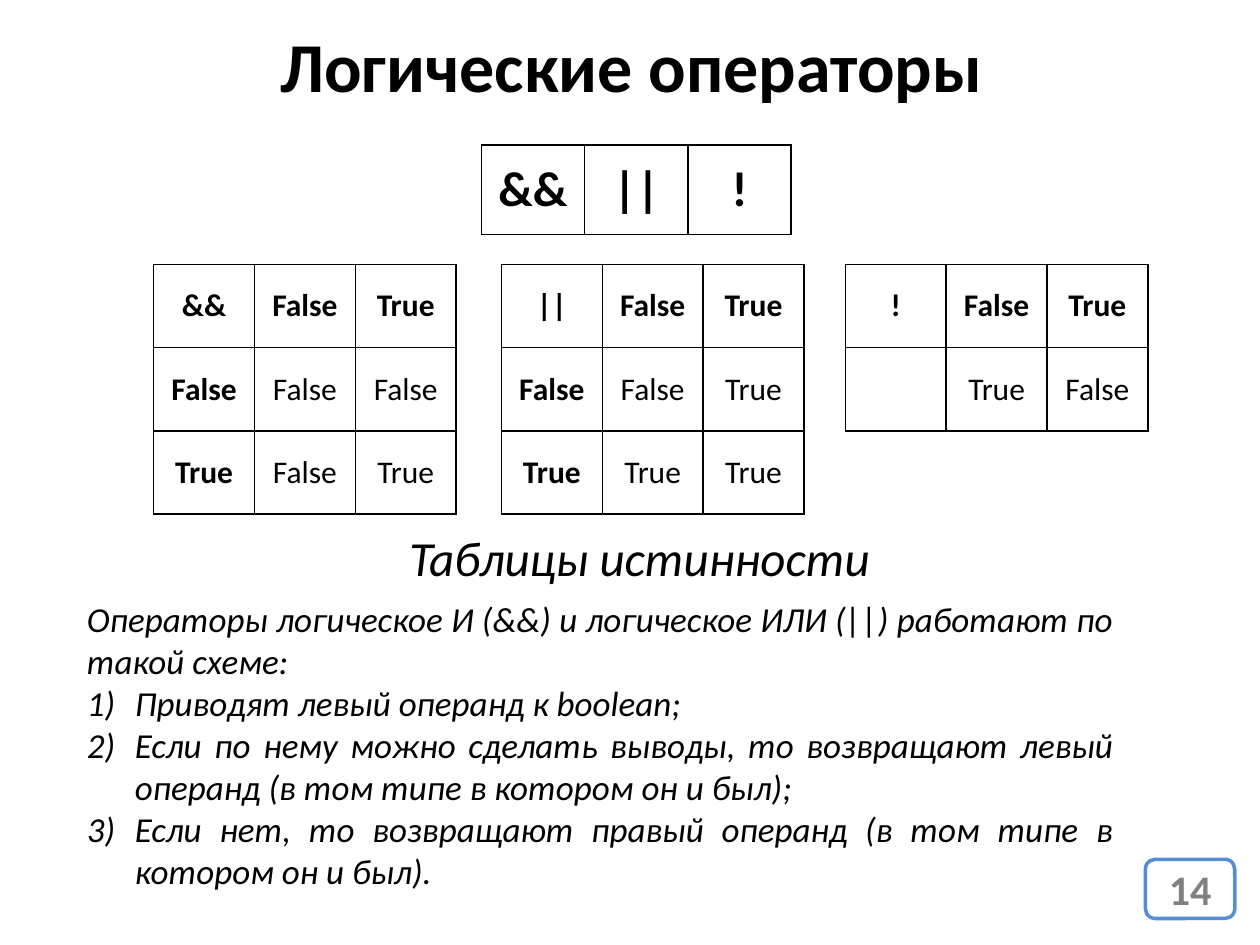
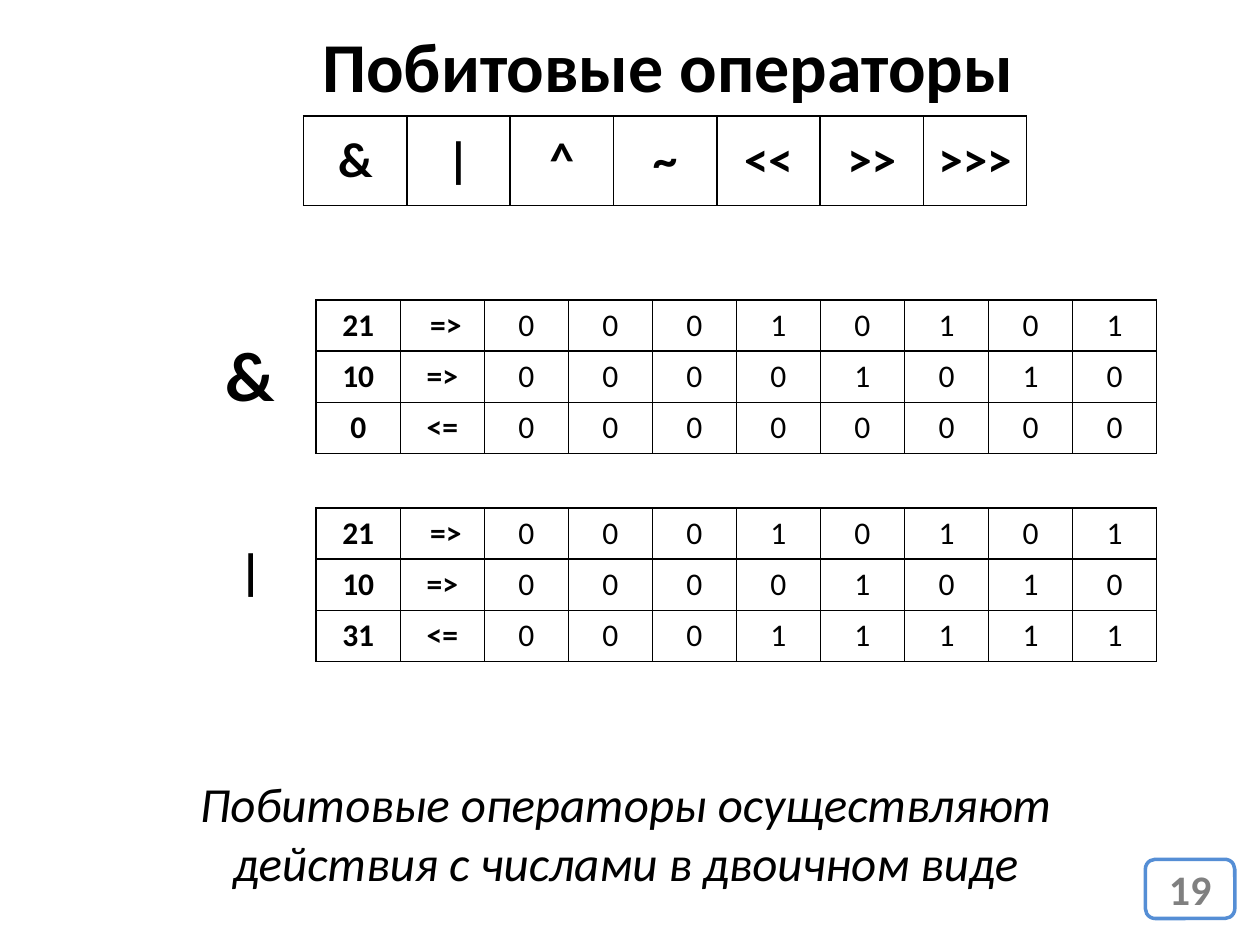
from pptx import Presentation
from pptx.dml.color import RGBColor
from pptx.enum.shapes import MSO_SHAPE as Shape
from pptx.enum.text import MSO_ANCHOR as Anchor, MSO_AUTO_SIZE as Fit, PP_ALIGN as Align
from pptx.oxml.ns import qn
from pptx.util import Inches, Pt
from lxml.etree import SubElement

FONT = "Calibri"
HEX = {"text": "000000", "paper": "FFFFFF", "edge": "558ED5", "page": "808080"}

LOGIC = {
    "title": "Логические операторы",
    "page": 14,
    "signs": ["&&", "||", "!"],
    "caption": "Таблицы истинности",
    "intro": "Операторы логическое И (&&) и логическое ИЛИ (||) работают по такой схеме:",
    "steps": [
        "Приводят левый операнд к boolean;",
        "Если по нему можно сделать выводы, то возвращают левый операнд "
        "(в том типе в котором он и был);",
        "Если нет, то возвращают правый операнд (в том типе в котором он и был).",
    ],
}
# Left edge and rows of each truth table
TRUTH = [
    (1.22, [["&&", "False", "True"],
            ["False", "False", "False"],
            ["True", "False", "True"]]),
    (3.98, [["||", "False", "True"],
            ["False", "False", "True"],
            ["True", "True", "True"]]),
    (6.71, [["!", "False", "True"],
            ["", "True", "False"]]),
]
BITWISE = {
    "title": "Побитовые операторы",
    "page": 19,
    "signs": ["&", "|", "^", "~", "<<", ">>", ">>>"],
    "note": "Побитовые операторы осуществляют действия с числами в двоичном виде",
}
FIRST, SECOND = 21, 10
# Table top, sign, sign size, sign box, result
SUMS = [
    (2.38, "&", 40, (1.69, 2.58, 0.6, 0.77), FIRST & SECOND),
    (4.03, "|", 28, (1.8, 4.24, 0.39, 0.57), FIRST | SECOND),
]


def color(name):
    return RGBColor.from_string(HEX[name])


def write(frame, lines, size, align=Align.CENTER, bold=False, italic=False, ink="text"):
    frame.text = "\n".join(lines)
    for para in frame.paragraphs:
        para.alignment = align
        para.space_before = Pt(0)
        for run in para.runs:
            font = run.font
            font.name, font.size = FONT, Pt(size)
            font.bold, font.italic = bold, italic
            font.color.rgb = color(ink)


def place(shape, box):
    shape.left, shape.top, shape.width, shape.height = map(Inches, box)


def indent(para, bullet, depth=0, **attrs):
    """Set a hanging indent and the bullet element of a paragraph."""
    props = para._p.get_or_add_pPr()
    props.set("marL", str(Inches(depth)))
    props.set("indent", str(-Inches(depth)))
    SubElement(props, qn(bullet), **attrs)


def outline(cell):
    props = cell._tc.get_or_add_tcPr()
    for side in ("a:lnL", "a:lnR", "a:lnT", "a:lnB"):
        line = SubElement(props, qn(side), w=str(Pt(1)))
        fill = SubElement(line, qn("a:solidFill"))
        SubElement(fill, qn("a:srgbClr"), val=HEX["text"])


def grid(slide, rows, left, top, wide, high, size, is_head):
    """Add a table of equal cells; is_head(row, col) tells which are bold."""
    count = len(rows[0])
    frame = slide.shapes.add_table(len(rows), count, Inches(left), Inches(top),
                                   Inches(wide * count), Inches(high * len(rows)))
    table = frame.table
    table.first_row = table.horz_banding = False
    for r, row in enumerate(rows):
        for c, text in enumerate(row):
            cell = table.cell(r, c)
            write(cell.text_frame, [text], size, bold=is_head(r, c))
            cell.vertical_anchor = Anchor.MIDDLE
            outline(cell)
            cell.fill.background()


def label(slide, text, box, size, **style):
    shape = slide.shapes.add_textbox(*map(Inches, box))
    shape.text_frame.word_wrap = False
    write(shape.text_frame, [text], size, Align.LEFT, **style)


def body(slide, lines, box, size, align):
    shape = slide.placeholders[1]
    place(shape, box)
    frame = shape.text_frame
    frame.auto_size, frame.word_wrap = Fit.NONE, True
    frame.vertical_anchor = Anchor.TOP
    write(frame, lines, size, align, italic=True)
    return frame.paragraphs


def start(deck, data, title_left, signs_at):
    """Add a slide with its page badge, title and row of operators."""
    slide = deck.slides.add_slide(deck.slide_layouts[1])
    badge = slide.shapes.add_shape(Shape.ROUNDED_RECTANGLE,
                                   *map(Inches, (9.09, 6.82, 0.71, 0.47)))
    badge.shadow.inherit = False
    badge.fill.solid()
    badge.fill.fore_color.rgb = color("paper")
    badge.line.color.rgb = color("edge")
    badge.line.width = Pt(2)
    badge.text_frame.vertical_anchor = Anchor.MIDDLE
    write(badge.text_frame, [str(data["page"])], 24, bold=True, ink="page")

    title = slide.shapes.title
    place(title, (title_left, -0.11, 9, 1.25))
    title.text_frame.vertical_anchor = Anchor.MIDDLE
    write(title.text_frame, [data["title"]], 40, bold=True)
    grid(slide, [data["signs"]], *signs_at, 0.82, 0.71, 28, lambda r, c: True)
    return slide


def logic(deck):
    slide = start(deck, LOGIC, 0.51, (3.82, 1.15))
    for left, rows in TRUTH:
        grid(slide, rows, left, 2.1, 0.8, 0.66, 18, lambda r, c: r == 0 or c == 0)
    label(slide, LOGIC["caption"], (3.15, 4.14, 3.89, 0.57), 28, italic=True)
    intro, *steps = body(slide, [LOGIC["intro"], *LOGIC["steps"]],
                         (0.59, 4.69, 8.35, 2.46), 20, Align.JUSTIFY)
    indent(intro, "a:buNone")
    for step in steps:
        indent(step, "a:buAutoNum", 0.38, type="arabicParenR")


def bitwise(deck):
    slide = start(deck, BITWISE, 0.8, (2.41, 0.92))
    for top, sign, size, box, result in SUMS:
        sides = [(FIRST, " =>"), (SECOND, "=>"), (result, "<=")]
        rows = [[str(n), arrow, *format(n, "08b")] for n, arrow in sides]
        grid(slide, rows, 2.51, top, 0.667, 0.407, 18, lambda r, c: c < 2)
        label(slide, sign, box, size, bold=True)
    note, = body(slide, [BITWISE["note"]], (1.38, 6.09, 7.17, 1.04), 28, Align.CENTER)
    indent(note, "a:buNone")


def main():
    deck = Presentation()
    deck.slide_width, deck.slide_height = Inches(10), Inches(7.5)
    logic(deck)
    bitwise(deck)
    deck.save("out.pptx")


if __name__ == "__main__":
    main()
